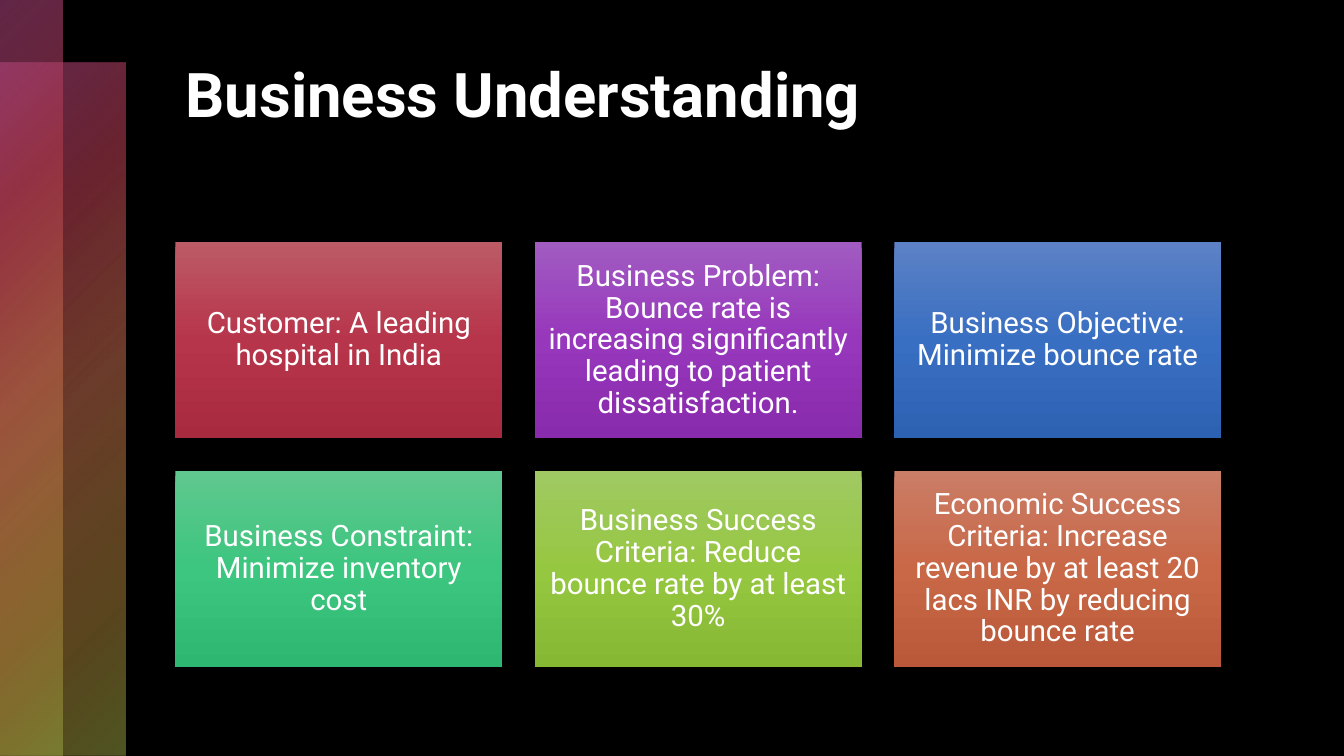
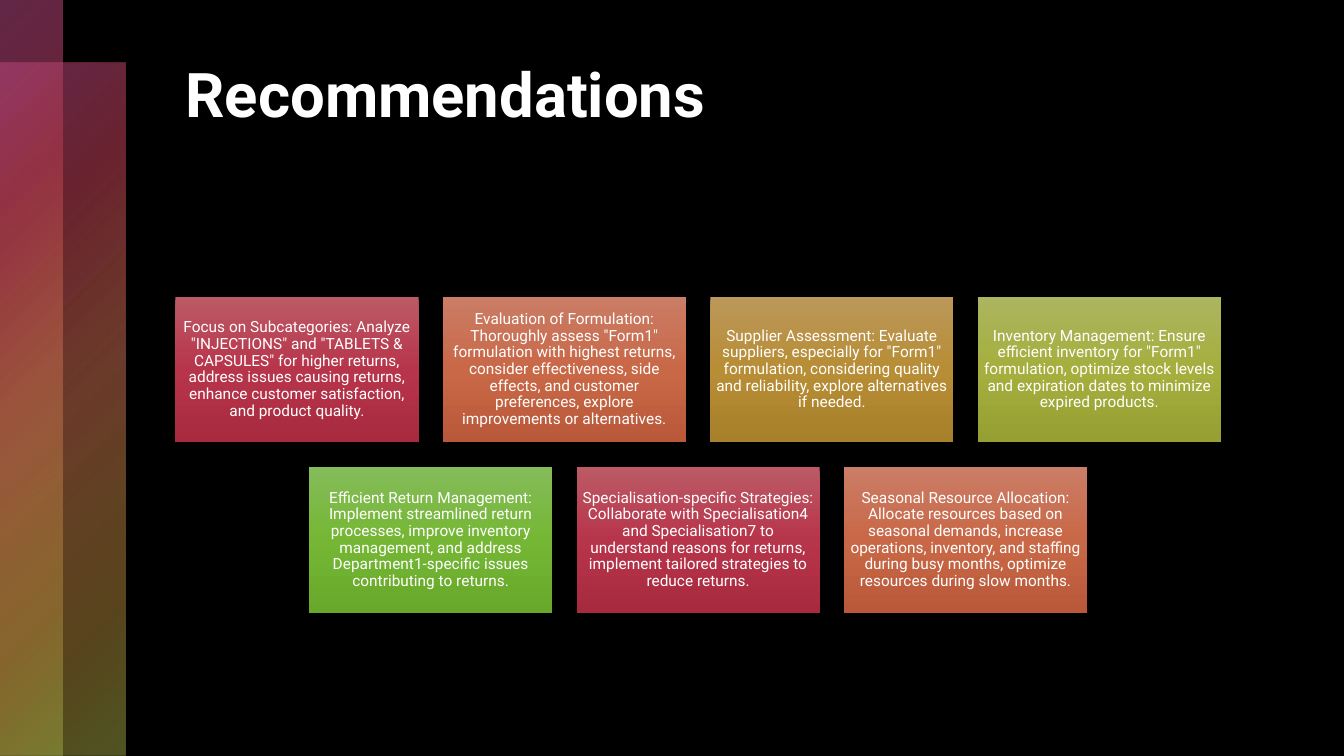
from lxml import etree
from pptx import Presentation
from pptx.dml.color import RGBColor
from pptx.enum.shapes import MSO_SHAPE
from pptx.enum.text import MSO_ANCHOR, PP_ALIGN
from pptx.oxml.ns import qn
from pptx.util import Inches, Pt

RECTANGLE = MSO_SHAPE.RECTANGLE
TOP, MIDDLE = MSO_ANCHOR.TOP, MSO_ANCHOR.MIDDLE
LEFT, CENTER = PP_ALIGN.LEFT, PP_ALIGN.CENTER

RED = ("BC5A66", "B7354A", "A82A3E")
PURPLE = ("A15BC1", "9737BC", "892BAD")
BLUE = ("5C81C5", "396FC2", "2D61B2")
TEAL = ("60C78E", "3CC67F", "2EB771")
LIME = ("A0C963", "96C741", "87B833")
ORANGE = ("CA7D67", "C96847", "B95939")
GOLD = ("BC985A", "B78D35", "A87F2A")
OLIVE = ("ACB55F", "A4AF3E", "96A032")
GREEN = ("85BC5A", "75B735", "68A82A")

UNDERSTANDING = [
    (RED, "Customer: A leading hospital in India"),
    (PURPLE, "Business Problem: Bounce rate is increasing significantly "
             "leading to patient dissatisfaction."),
    (BLUE, "Business Objective: Minimize bounce rate"),
    (TEAL, "Business Constraint: Minimize inventory cost"),
    (LIME, "Business Success Criteria: Reduce bounce rate by at least 30%"),
    (ORANGE, "Economic Success Criteria: Increase revenue by at least 20 lacs INR "
             "by reducing bounce rate"),
]
RECOMMENDATIONS = [
    (RED, 'Focus on Subcategories: Analyze "INJECTIONS" and "TABLETS & CAPSULES" for higher '
          "returns, address issues causing returns, enhance customer satisfaction, "
          "and product quality."),
    (ORANGE, 'Evaluation of Formulation: Thoroughly assess "Form1" formulation with highest '
             "returns, consider effectiveness, side effects, and customer preferences, "
             "explore improvements or alternatives."),
    (GOLD, 'Supplier Assessment: Evaluate suppliers, especially for "Form1" formulation, '
           "considering quality and reliability, explore alternatives if needed."),
    (OLIVE, 'Inventory Management: Ensure efficient inventory for "Form1" formulation, '
            "optimize stock levels and expiration dates to minimize expired products."),
    (GREEN, "Efficient Return Management: Implement streamlined return processes, improve "
            "inventory management, and address Department1-specific issues contributing "
            "to returns."),
    (RED, "Specialisation-specific Strategies: Collaborate with Specialisation4 and "
          "Specialisation7 to understand reasons for returns, implement tailored "
          "strategies to reduce returns."),
    (ORANGE, "Seasonal Resource Allocation: Allocate resources based on seasonal demands, "
             "increase operations, inventory, and staffing during busy months, optimize "
             "resources during slow months."),
]


def color(code):
    return RGBColor.from_string(code)


class StyledDeck:
    """Dark slides with translucent side bands, a bold title and a grid of boxes."""

    FONT = "Roboto"
    TEXT, BACKGROUND = "FFFFFF", "000000"
    WIDTH, HEIGHT = 13.33, 7.5
    CONTENT_LEFT, CONTENT_WIDTH, GRID_MIDDLE = 1.74, 10.37, 4.51
    GAP_RATIO, HEIGHT_RATIO = 0.1, 0.6
    BAND = 0.62
    BAND_STOPS = [(0, "C34D91", 50), (25, "B13B4E", 60), (50, "C36B4D", 55),
                  (81, "B18B3B", 50), (99, "A0AA43", 50)]

    def __init__(self):
        self.deck = Presentation()
        self.deck.slide_width = Inches(self.WIDTH)
        self.deck.slide_height = Inches(self.HEIGHT)
        self.layout = self.deck.slide_layouts[5]
        self.page = None

    def start_page(self, title):
        self.page = self.deck.slides.add_slide(self.layout)
        fill = self.page.background.fill
        fill.solid()
        fill.fore_color.rgb = color(self.BACKGROUND)
        self.add_band(self.BAND, 2 * self.BAND)
        self.add_band(0, self.BAND)
        box = self.page.shapes.title
        box.left, box.top = Inches(self.CONTENT_LEFT), Inches(0.5)
        box.width, box.height = Inches(self.CONTENT_WIDTH), Inches(1.7)
        self.set_text(box, title, 44, LEFT, TOP, bold=True)

    def set_text(self, box, text, size, align, anchor, bold=False):
        frame = box.text_frame
        frame.word_wrap = True
        frame.vertical_anchor = anchor
        frame.text = text
        para = frame.paragraphs[0]
        para.alignment = align
        font = para.font
        font.name, font.size, font.bold = self.FONT, Pt(size), bold
        font.color.rgb = color(self.TEXT)
        return para

    def add_rectangle(self, left, top, width, height, stops, radial=False):
        box = self.page.shapes.add_shape(
            RECTANGLE, Inches(left), Inches(top), Inches(width), Inches(height))
        box.shadow.inherit = False
        box.line.fill.background()
        gradient = etree.Element(qn("a:gradFill"), rotWithShape="1")
        stop_list = etree.SubElement(gradient, qn("a:gsLst"))
        for position, code, opacity in stops:
            stop = etree.SubElement(stop_list, qn("a:gs"), pos=str(position * 1000))
            tint = etree.SubElement(stop, qn("a:srgbClr"), val=code)
            if opacity < 100:
                etree.SubElement(tint, qn("a:alpha"), val=str(opacity * 1000))
        if radial:
            shade = etree.SubElement(gradient, qn("a:path"), {"path": "circle"})
            etree.SubElement(shade, qn("a:fillToRect"), r="100000", b="100000")
        else:
            etree.SubElement(gradient, qn("a:lin"), ang="5400000", scaled="0")
        box.element.spPr.find(qn("a:prstGeom")).addnext(gradient)
        return box

    def add_band(self, top, width):
        self.add_rectangle(0, top, width, self.HEIGHT - top, self.BAND_STOPS, radial=True)

    def add_box(self, left, top, width, shades, text, size, inset):
        stops = [(50 * index, code, 100) for index, code in enumerate(shades)]
        box = self.add_rectangle(left, top, width, width * self.HEIGHT_RATIO, stops)
        para = self.set_text(box, text, size, CENTER, MIDDLE)
        para.line_spacing = 0.9
        frame = box.text_frame
        frame.margin_left = frame.margin_right = Inches(inset)
        frame.margin_top = frame.margin_bottom = Inches(inset)

    def add_grid(self, items, columns, size, inset):
        width = self.CONTENT_WIDTH / (columns + self.GAP_RATIO * (columns - 1))
        gap = width * self.GAP_RATIO
        height = width * self.HEIGHT_RATIO
        rows = [items[start:start + columns] for start in range(0, len(items), columns)]
        first_top = self.GRID_MIDDLE - (len(rows) * (height + gap) - gap) / 2
        for row_index, row in enumerate(rows):
            row_width = len(row) * (width + gap) - gap
            row_left = self.CONTENT_LEFT + (self.CONTENT_WIDTH - row_width) / 2
            top = first_top + row_index * (height + gap)
            for column, (shades, text) in enumerate(row):
                left = row_left + column * (width + gap)
                self.add_box(left, top, width, shades, text, size, inset)


def main():
    styled = StyledDeck()
    styled.start_page("Business Understanding")
    styled.add_grid(UNDERSTANDING, columns=3, size=21, inset=0.09)
    styled.start_page("Recommendations")
    styled.add_grid(RECOMMENDATIONS, columns=4, size=11, inset=0.05)
    styled.deck.save("out.pptx")


if __name__ == "__main__":
    main()
